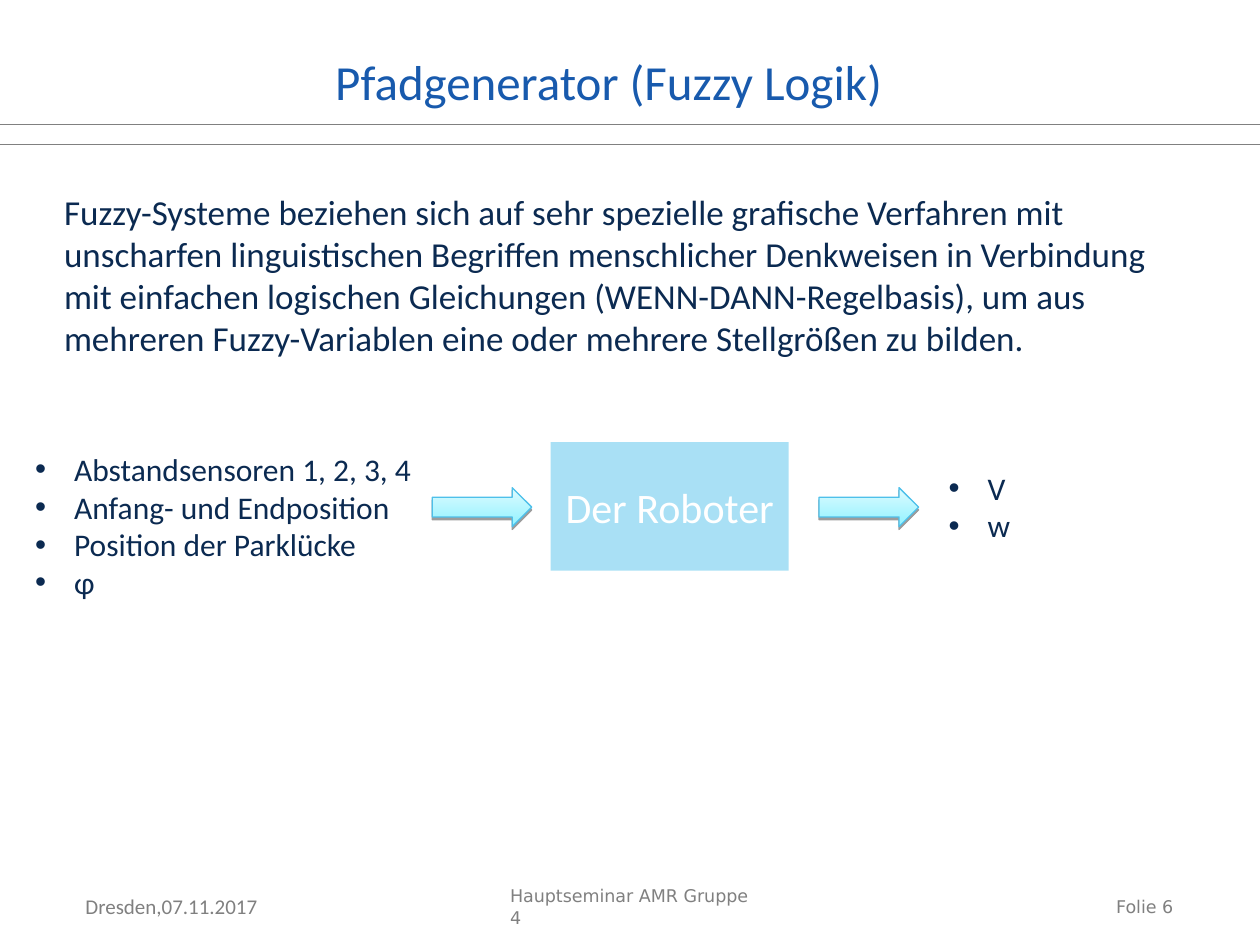
from lxml.etree import SubElement
from pptx import Presentation
from pptx.dml.color import RGBColor
from pptx.enum.shapes import MSO_CONNECTOR as Connector, MSO_SHAPE as Shape
from pptx.enum.text import MSO_ANCHOR as Anchor, MSO_AUTO_SIZE as AutoSize, PP_ALIGN as Align
from pptx.oxml.ns import qn
from pptx.util import Inches, Pt

COLORS = {"title": "185AAD", "text": "0B2A51", "grey": "808080", "robot": "54C3EC",
          "white": "FFFFFF", "arrow_dark": "90F2FF", "arrow_light": "DEFBFF",
          "arrow_edge": "4EC0EA", "shadow": "000000"}
RGB = {name: RGBColor.from_string(value) for name, value in COLORS.items()}

deck = Presentation()
deck.slide_width, deck.slide_height = Inches(10), Inches(7.5)
slide = deck.slides.add_slide(deck.slide_layouts[5])
shapes = slide.shapes


def grid(*cells):
    """Lengths from a grid of 100 columns by 75 rows, whose cells are square."""
    return [round(deck.slide_width * cell / 100) for cell in cells]


def write(box, lines, size, color, font="Calibri", align=Align.LEFT,
          anchor=Anchor.TOP, bullet_indent=None):
    """Fill a box with one paragraph per line; bullet_indent is in grid columns."""
    frame = box.text_frame
    frame.auto_size = AutoSize.NONE
    frame.word_wrap = True
    frame.vertical_anchor = anchor
    frame.text = "\n".join(lines)
    for paragraph in frame.paragraphs:
        paragraph.alignment = align
        paragraph.font.name = font
        paragraph.font.size = Pt(size)
        paragraph.font.color.rgb = RGB[color]
        if bullet_indent is not None:
            margin, hanging = grid(bullet_indent, 3.1)
            properties = paragraph._p.get_or_add_pPr()
            properties.set("marL", str(margin))
            properties.set("indent", str(-hanging))
            bullet_font = SubElement(properties, qn("a:buFont"))
            bullet_font.set("typeface", "Arial")
            SubElement(properties, qn("a:buChar")).set("char", "•")
            properties.append(properties.find(qn("a:defRPr")))


# Header rules
for row in (9.9, 11.5):
    rule = shapes.add_connector(Connector.STRAIGHT, *grid(0, row, 100, row))
    rule.line.color.rgb = RGB["grey"]
    rule.line.width = Pt(0.5)
    SubElement(rule.element.spPr, qn("a:effectLst"))

# Footer
for cells, footer, size, font, align, anchor in (
    ((75.2, 70.6, 18.9, 2.9), "Folie 6", 10, "DejaVu Sans", Align.RIGHT, Anchor.TOP),
    ((39.5, 70.6, 21.1, 2.7), "Hauptseminar AMR Gruppe 4", 10, "DejaVu Sans",
     Align.LEFT, Anchor.MIDDLE),
    ((5.8, 70.4, 15.7, 3), "Dresden,07.11.2017", 12, "Calibri", Align.LEFT, Anchor.TOP),
):
    write(shapes.add_textbox(*grid(*cells)), [footer], size, "grey", font, align, anchor)

# Title and definition
title = shapes.title
title.left, title.top, title.width, title.height = grid(25.6, 3.6, 47.2, 5.7)
write(title, ["Pfadgenerator (Fuzzy Logik)"], 28, "title")

definition = ("Fuzzy-Systeme beziehen sich auf sehr spezielle grafische Verfahren mit "
              "unscharfen linguistischen Begriffen menschlicher Denkweisen in Verbindung "
              "mit einfachen logischen Gleichungen (WENN-DANN-Regelbasis), um aus "
              "mehreren Fuzzy-Variablen eine oder mehrere Stellgrößen zu bilden.")
write(shapes.add_textbox(*grid(4.1, 14.6, 91.9, 14.4)), [definition], 20, "text")

# Inputs, robot, outputs
inputs = ["Abstandsensoren 1, 2, 3, 4", "Anfang- und Endposition",
          "Position der Parklücke", "ɸ"]
write(shapes.add_textbox(*grid(-3.2, 35.2, 41.8, 16.1)), inputs, 18, "text",
      bullet_indent=8.1)
write(shapes.add_textbox(*grid(74.3, 36.7, 25.6, 10.1)), ["V", "w"], 18, "text",
      bullet_indent=3.1)

robot = shapes.add_shape(Shape.RECTANGLE, *grid(43.7, 35.1, 18.9, 10.2))
robot.shadow.inherit = False
robot.fill.solid()
robot.fill.fore_color.rgb = RGB["robot"]
robot_color = robot.element.spPr.find(qn("a:solidFill")).find(qn("a:srgbClr"))
SubElement(robot_color, qn("a:alpha")).set("val", "50000")
robot.line.fill.background()
write(robot, ["Der Roboter"], 24, "white", align=Align.CENTER, anchor=Anchor.MIDDLE)

for column in (34.3, 65):
    arrow = shapes.add_shape(Shape.RIGHT_ARROW, *grid(column, 38.7, 7.9, 3.1))
    arrow.fill.gradient()
    arrow.fill.gradient_angle = 90
    for stop, color in zip(arrow.fill.gradient_stops, ("arrow_dark", "arrow_light")):
        stop.color.rgb = RGB[color]
    arrow.line.color.rgb = RGB["arrow_edge"]
    arrow.line.width = Pt(0.75)
    arrow.shadow.inherit = False
    shadow = SubElement(arrow.element.spPr.find(qn("a:effectLst")), qn("a:outerShdw"))
    for key, value in (("blurRad", 0), ("dist", Pt(1.6)), ("dir", 90 * 60000),
                       ("rotWithShape", 0)):
        shadow.set(key, str(int(value)))
    shade = SubElement(shadow, qn("a:srgbClr"))
    shade.set("val", COLORS["shadow"])
    SubElement(shade, qn("a:alpha")).set("val", "38000")

deck.save("out.pptx")
